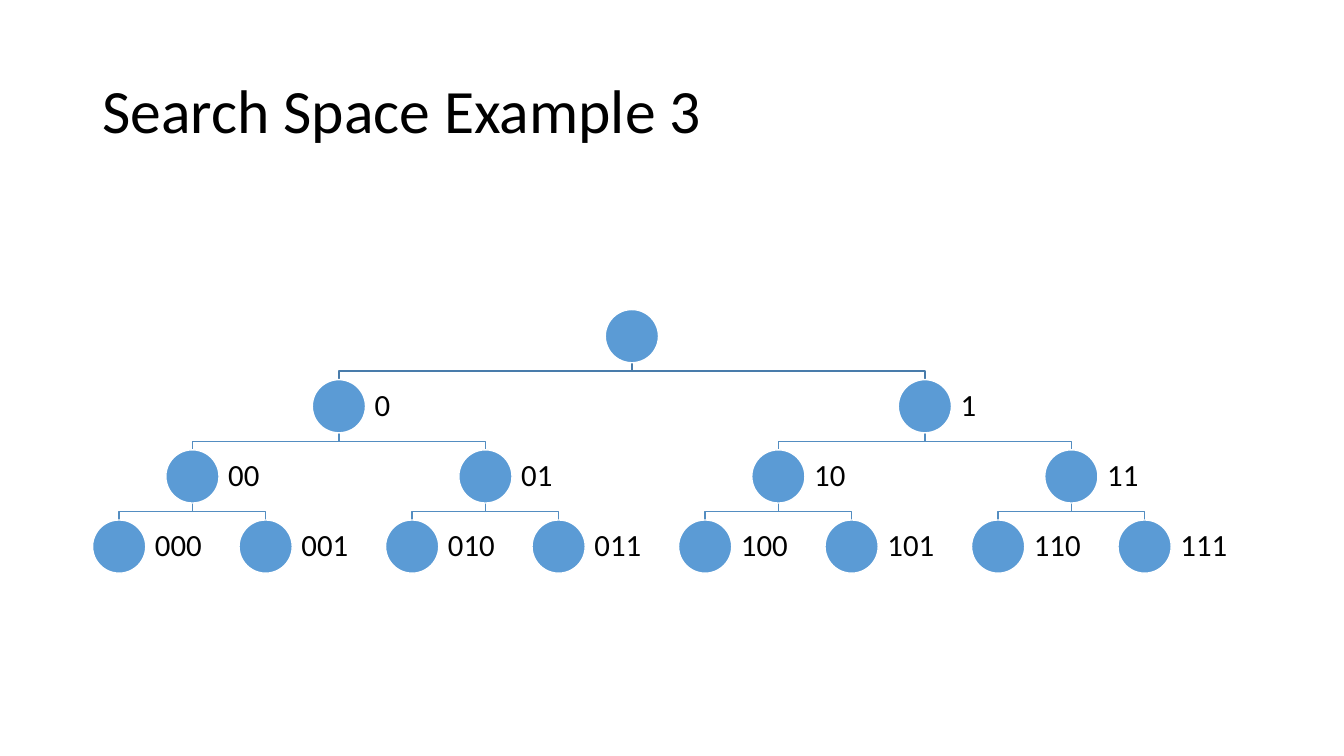
"""Build a slide with a binary search tree of three-bit strings."""
from dataclasses import dataclass

from pptx import Presentation
from pptx.dml.color import RGBColor
from pptx.enum.shapes import MSO_SHAPE
from pptx.enum.text import MSO_ANCHOR, PP_ALIGN
from pptx.util import Pt

OVAL = MSO_SHAPE.OVAL
MIDDLE = MSO_ANCHOR.MIDDLE
LEFT = PP_ALIGN.LEFT

BLACK = RGBColor(0x00, 0x00, 0x00)
WHITE = RGBColor(0xFF, 0xFF, 0xFF)
NODE_BLUE = RGBColor(0x5B, 0x9B, 0xD5)
ROOT_EDGE = RGBColor(0x49, 0x7C, 0xAB)
LOWER_EDGE = RGBColor(0x53, 0x8D, 0xC1)

FONT = "Calibri"
DEPTH = 3
LEAF_X = 85.1
LEAF_GAP = 104.64
ROOT_TOP = 221.1
LEVEL_STEP = 50.1
DIAMETER = 38
LABEL_WIDTH = 57


@dataclass(frozen=True)
class Node:
    code: str
    x: float
    top: float

    @property
    def bottom(self) -> float:
        return self.top + DIAMETER


def make_node(level: int, index: int) -> Node:
    leaves = 2 ** (DEPTH - level)
    x = LEAF_X + LEAF_GAP * (leaves * (index + 0.5) - 0.5)
    code = f"{index:0{level}b}" if level else ""
    return Node(code, x, ROOT_TOP + level * LEVEL_STEP)


def format_text(tf, size: float) -> None:
    tf.word_wrap = True
    tf.vertical_anchor = MIDDLE
    p = tf.paragraphs[0]
    p.alignment = LEFT
    p.line_spacing = 0.9
    font = p.runs[0].font
    font.name, font.size = FONT, Pt(size)
    font.color.rgb = BLACK


def draw_edge(s, parent: Node, child: Node) -> None:
    middle = (parent.bottom + child.top) / 2
    points = [(parent.x, middle), (child.x, middle), (child.x, child.top)]
    builder = s.shapes.build_freeform(Pt(parent.x), Pt(parent.bottom))
    builder.add_line_segments([(Pt(x), Pt(y)) for x, y in points], close=False)
    sp = builder.convert_to_shape()
    sp.shadow.inherit = False
    sp.fill.background()
    sp.line.color.rgb = LOWER_EDGE if parent.code else ROOT_EDGE
    sp.line.width = Pt(1)


def draw_node(s, node: Node) -> None:
    left = node.x - DIAMETER / 2
    sp = s.shapes.add_shape(OVAL, Pt(left), Pt(node.top), Pt(DIAMETER), Pt(DIAMETER))
    sp.shadow.inherit = False
    sp.fill.solid()
    sp.fill.fore_color.rgb = NODE_BLUE
    sp.line.color.rgb = WHITE
    sp.line.width = Pt(1)
    if node.code:
        label = s.shapes.add_textbox(
            Pt(left + DIAMETER), Pt(node.top), Pt(LABEL_WIDTH), Pt(DIAMETER))
        tf = label.text_frame
        tf.margin_left = tf.margin_right = tf.margin_top = tf.margin_bottom = Pt(6.6)
        tf.text = node.code
        format_text(tf, 22)


def main() -> None:
    prs = Presentation()
    prs.slide_width, prs.slide_height = Pt(960), Pt(540)
    s = prs.slides.add_slide(prs.slide_layouts[5])
    title = s.shapes.title
    title.left, title.top, title.width, title.height = Pt(66), Pt(28.8), Pt(828), Pt(104.4)
    title.text_frame.text = "Search Space Example 3"
    format_text(title.text_frame, 44)

    levels = [[make_node(level, i) for i in range(2 ** level)]
              for level in range(DEPTH + 1)]
    for parents, children in zip(levels, levels[1:]):
        for i, child in enumerate(children):
            draw_edge(s, parents[i // 2], child)
    for nodes in levels:
        for node in nodes:
            draw_node(s, node)
    prs.save("out.pptx")


if __name__ == "__main__":
    main()
